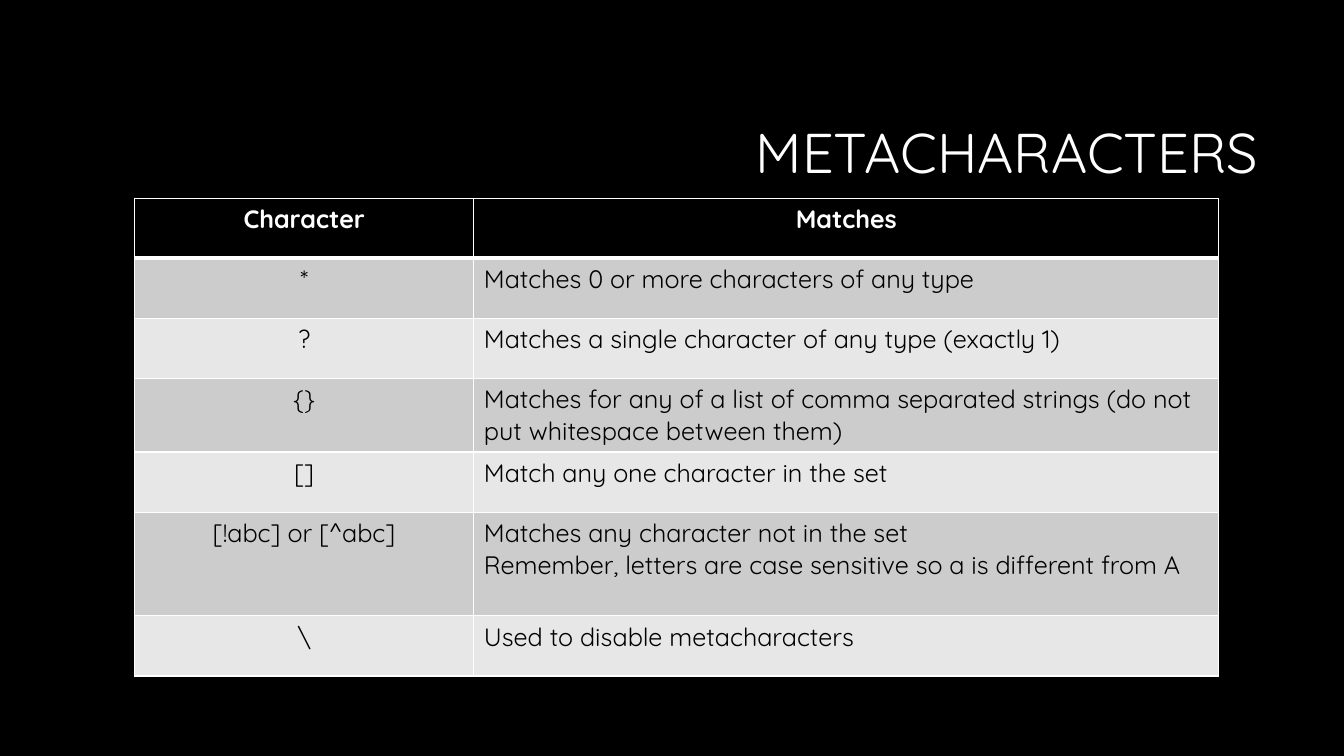
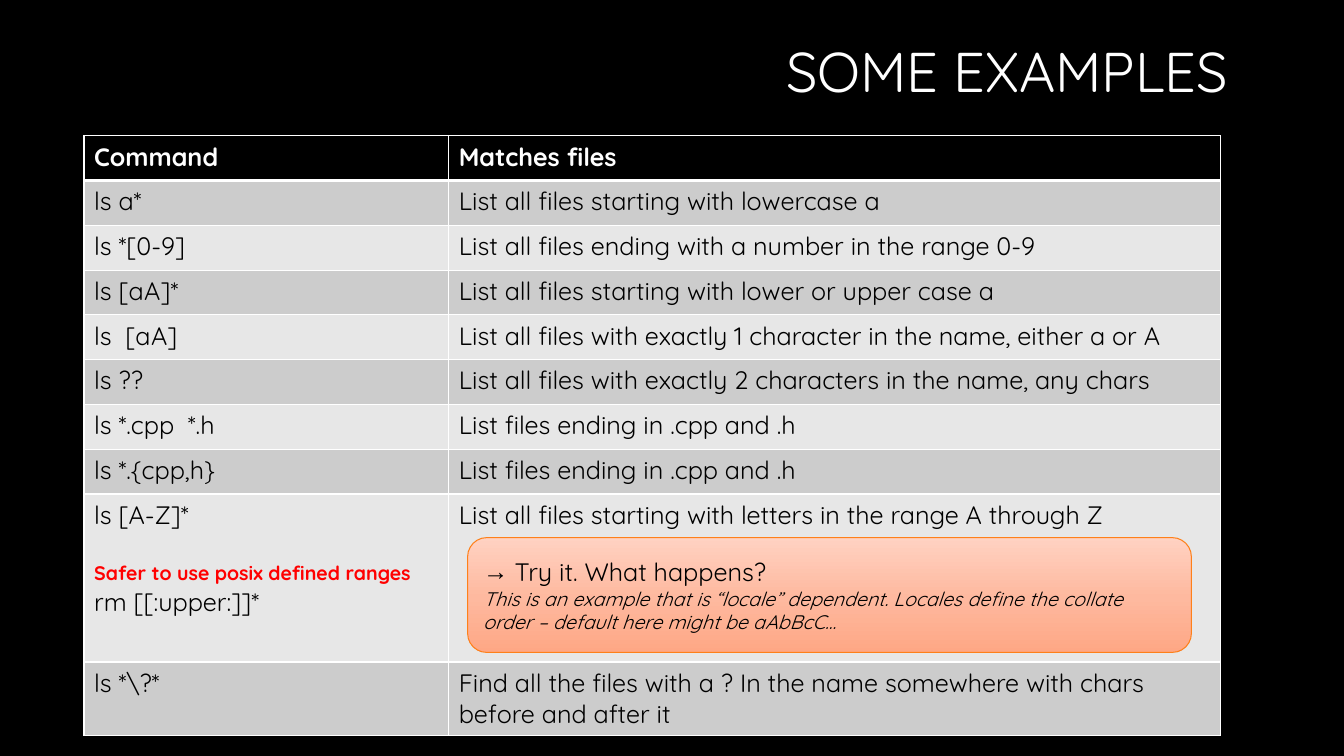
"""Build two slides about shell metacharacters, each with a title and a table."""
import copy

import lxml.etree
import pptx
import pptx.dml.color
import pptx.enum.shapes
import pptx.enum.text
import pptx.oxml.ns
import pptx.util

EMU_PER_PX = 6350
FONT = "Quicksand"
WHITE, BLACK, RED = "FFFFFF", "000000", "FF0000"
BANDS = ("CCCCCC", "E7E7E7")
LEFT = pptx.enum.text.PP_ALIGN.LEFT
CENTER = pptx.enum.text.PP_ALIGN.CENTER
RIGHT = pptx.enum.text.PP_ALIGN.RIGHT
MIDDLE = pptx.enum.text.MSO_ANCHOR.MIDDLE

SLIDES = [
    {
        "title": "METACHARACTERS",
        "title_box": (456, 121, 1356, 203),
        "origin": (192, 283),
        "columns": (485, 1064),
        "row_height": 86,
        "tall_rows": {3: 105, 5: 148},
        "header_align": (CENTER, CENTER),
        "body_align": (CENTER, LEFT),
        "rows": [
            ("Character", "Matches"),
            ("*", "Matches 0 or more characters of any type"),
            ("?", "Matches a single character of any type (exactly 1)"),
            ("{}", "Matches for any of a list of comma separated strings "
                   "(do not put whitespace between them)"),
            ("[]", "Match any one character in the set"),
            ("[!abc] or [^abc]", ["Matches any character not in the set",
                                  "Remember, letters are case sensitive so a is different from A"]),
            ("\\", "Used to disable metacharacters"),
        ],
    },
    {
        "title": "SOME EXAMPLES",
        "title_box": (413, 49, 1356, 114),
        "origin": (120, 194),
        "columns": (521, 1103),
        "row_height": 64,
        "tall_rows": {8: 240, 9: 105},
        "header_align": (LEFT, LEFT),
        "body_align": (LEFT, LEFT),
        "rows": [
            ("Command", "Matches files"),
            ("ls a*", "List all files starting with lowercase a"),
            ("ls *[0-9]", "List all files ending with a number in the range 0-9"),
            ("ls [aA]*", "List all files starting with lower or upper case a"),
            ("ls  [aA]", "List all files with exactly 1 character in the name, either a or A"),
            ("ls ??", "List all files with exactly 2 characters in the name, any chars"),
            ("ls *.cpp  *.h", "List files ending in .cpp and .h"),
            ("ls *.{cpp,h}", "List files ending in .cpp and .h"),
            (["ls [A-Z]*",
              {"text": "Safer to use posix defined ranges", "size": 14,
               "color": RED, "bold": True, "before": 22},
              "rm [[:upper:]]*"],
             "List all files starting with letters in the range A through Z"),
            ("ls *\\?*", "Find all the files with a ? In the name somewhere "
                         "with chars before and after it"),
        ],
    },
]

CALLOUT = {
    "box": (668, 768, 1034, 164),
    "stops": ((0, "FFD2C2"), (0.52, "FEB99F"), (1, "FEA785")),
    "line": "FE801A",
    "lines": [
        {"text": "Try it. What happens?", "bullet": "→"},
        {"text": "This is an example that is “locale” dependent. Locales define "
                 "the collate order – default here might be aAbBcC…",
         "size": 14, "italic": True},
    ],
}
BULLET_INDENT = 45


def px(length):
    return pptx.util.Emu(length * EMU_PER_PX)


def rgb(color):
    return pptx.dml.color.RGBColor.from_string(color)


def add_child(parent, tag, **attributes):
    return lxml.etree.SubElement(parent, pptx.oxml.ns.qn(tag), attributes)


def add_bullet(para, symbol):
    properties = para._p.get_or_add_pPr()
    indent = px(BULLET_INDENT)
    properties.set("marL", str(indent))
    properties.set("indent", str(-indent))
    add_child(properties, "a:buFont", typeface="Arial")
    add_child(properties, "a:buChar", char=symbol)


def write(frame, lines, align=LEFT, size=18, color=BLACK, bold=False):
    if not isinstance(lines, list):
        lines = [lines]
    for index, line in enumerate(lines):
        style = line if isinstance(line, dict) else {"text": line}
        para = frame.add_paragraph() if index else frame.paragraphs[0]
        para.alignment = align
        if "before" in style:
            para.space_before = pptx.util.Pt(style["before"])
        if "bullet" in style:
            add_bullet(para, style["bullet"])
        span = para.add_run()
        span.text = style["text"]
        span.font.name = FONT
        span.font.size = pptx.util.Pt(style.get("size", size))
        span.font.bold = style.get("bold", bold)
        span.font.italic = style.get("italic", False)
        span.font.color.rgb = rgb(style.get("color", color))


def set_borders(cell, top, bottom):
    properties = cell._tc.get_or_add_tcPr()
    widths = {"a:lnL": 1, "a:lnR": 1, "a:lnT": top, "a:lnB": bottom}
    for position, (tag, width) in enumerate(widths.items()):
        line = add_child(properties, tag, w=str(pptx.util.Pt(width)))
        add_child(add_child(line, "a:solidFill"), "a:srgbClr", val=WHITE)
        properties.insert(position, line)


def add_title(page, text, box):
    title = page.shapes.title
    title.left, title.top, title.width, title.height = map(px, box)
    frame = title.text_frame
    frame.word_wrap = True
    frame.vertical_anchor = MIDDLE
    write(frame, text, RIGHT, 40, WHITE)
    frame.paragraphs[0].line_spacing = 0.9


def add_grid(page, content):
    rows, columns = content["rows"], content["columns"]
    heights = [content["tall_rows"].get(index, content["row_height"])
               for index in range(len(rows))]
    size = (sum(columns), sum(heights))
    grid = page.shapes.add_table(len(rows), len(columns),
                                 *map(px, content["origin"] + size)).table
    for column, width in zip(grid.columns, columns):
        column.width = px(width)
    for index, (row, height, texts) in enumerate(zip(grid.rows, heights, rows)):
        row.height = px(height)
        header = index == 0
        aligns = content["header_align" if header else "body_align"]
        for cell, text, align in zip(row.cells, texts, aligns):
            cell.fill.solid()
            cell.fill.fore_color.rgb = rgb(BLACK if header else BANDS[(index - 1) % 2])
            set_borders(cell, 3 if index == 1 else 1, 3 if header else 1)
            write(cell.text_frame, text, align,
                  color=WHITE if header else BLACK, bold=header)


def add_callout(page):
    box = page.shapes.add_shape(pptx.enum.shapes.MSO_SHAPE.ROUNDED_RECTANGLE,
                                *map(px, CALLOUT["box"]))
    box.shadow.inherit = False
    box.fill.gradient()
    box.fill.gradient_angle = 270
    stop_list = box._element.spPr.find(".//" + pptx.oxml.ns.qn("a:gsLst"))
    stop_list.append(copy.deepcopy(stop_list[0]))
    for stop, (position, color) in zip(box.fill.gradient_stops, CALLOUT["stops"]):
        stop.position = position
        stop.color.rgb = rgb(color)
    box.line.color.rgb = rgb(CALLOUT["line"])
    box.line.width = pptx.util.Pt(0.75)
    box.text_frame.word_wrap = True
    box.text_frame.vertical_anchor = MIDDLE
    write(box.text_frame, CALLOUT["lines"])


def main():
    deck = pptx.Presentation()
    deck.slide_width, deck.slide_height = px(1920), px(1080)
    background = deck.slide_master.background.fill
    background.solid()
    background.fore_color.rgb = rgb(BLACK)
    for content in SLIDES:
        page = deck.slides.add_slide(deck.slide_layouts.get_by_name("Title Only"))
        add_title(page, content["title"], content["title_box"])
        add_grid(page, content)
    add_callout(page)
    deck.save("out.pptx")


if __name__ == "__main__":
    main()
